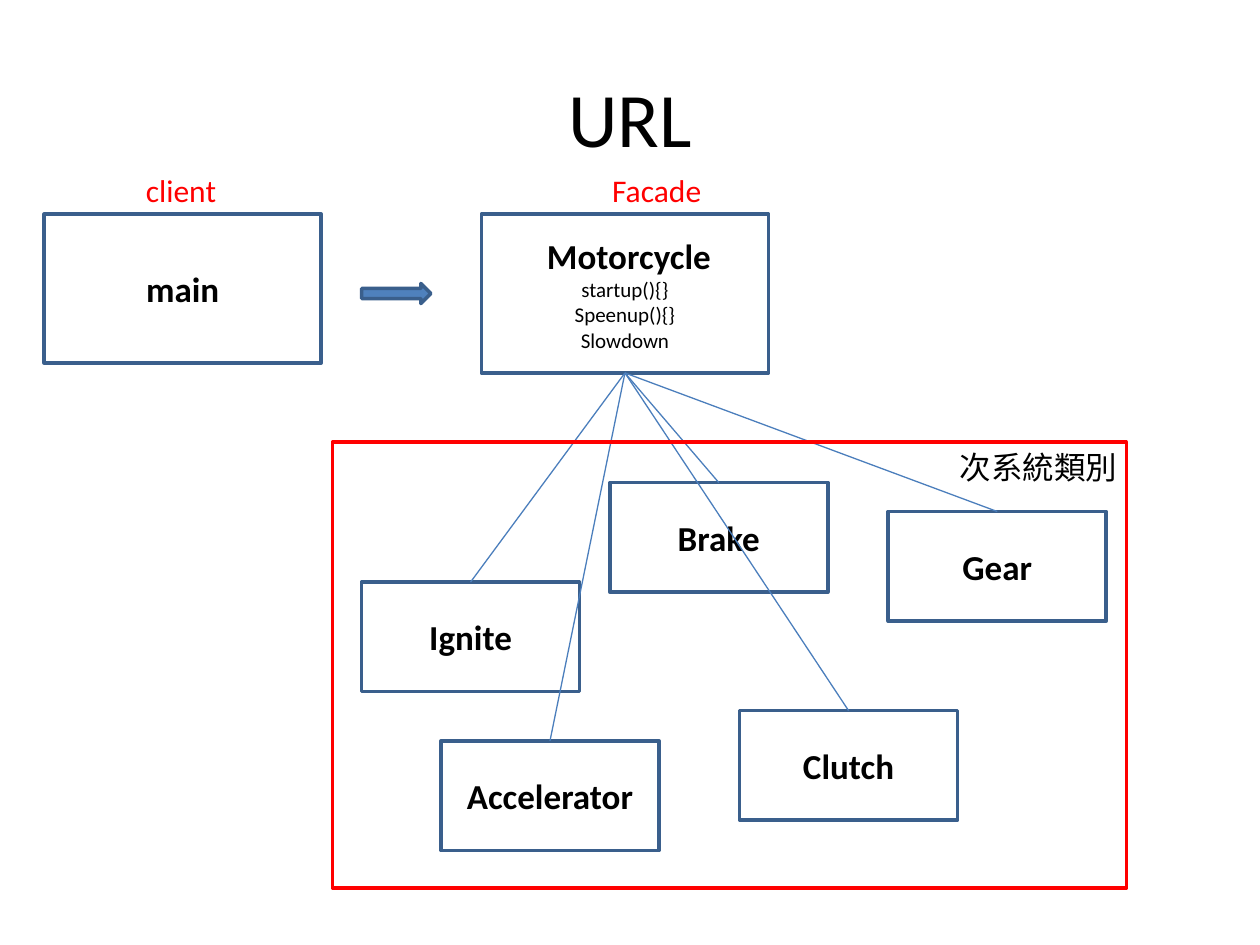
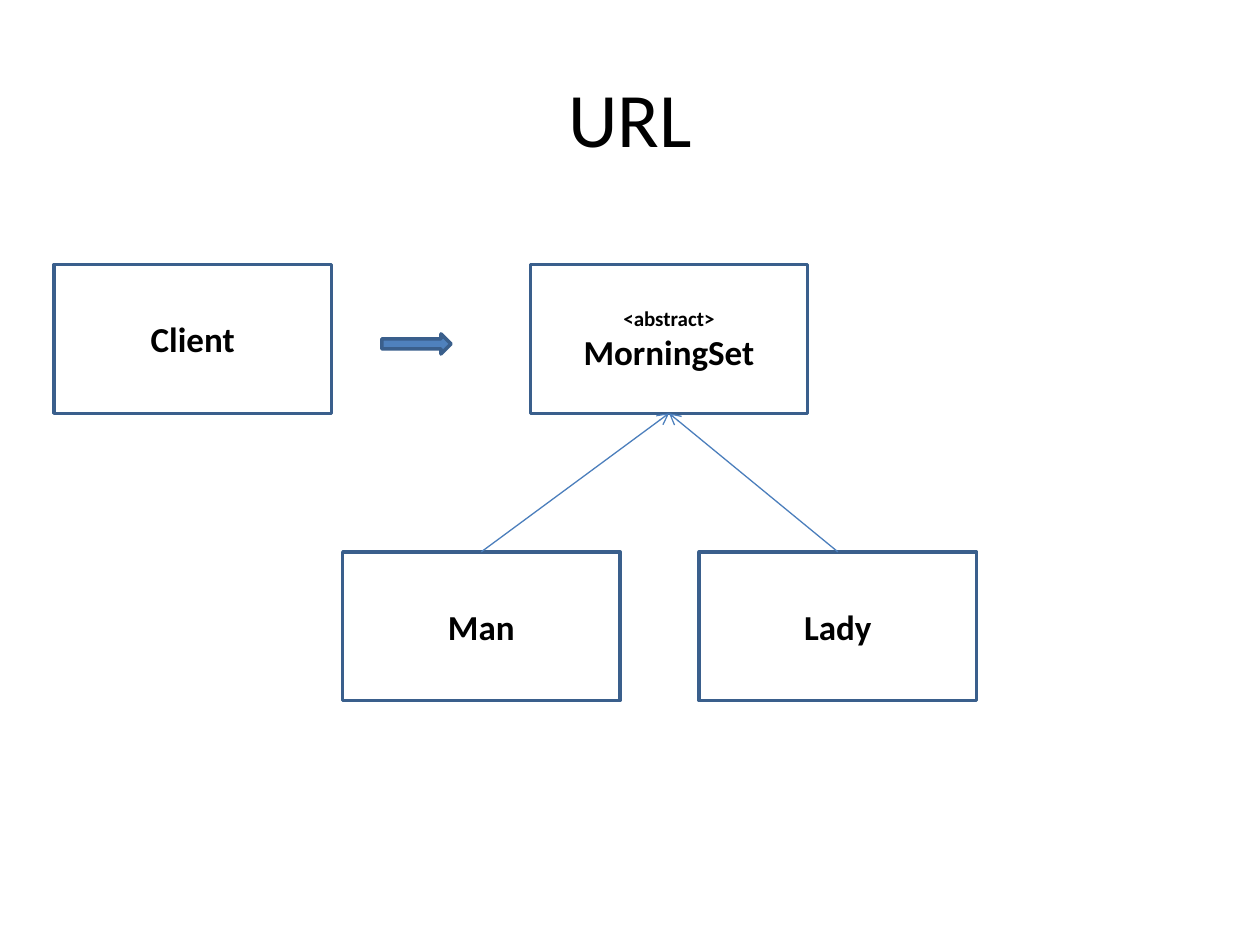
"""Two class diagrams: a facade and an abstract class."""
from lxml import etree
from pptx import Presentation, util as u
from pptx.dml.color import RGBColor
from pptx.enum import shapes, text
from pptx.oxml import ns

KIND = shapes.MSO_SHAPE
INK, RED = "000000", "FF0000"
EDGE, FILL, LINK = "3A5F8C", "4F81BD", "4B7EBC"
BIG, SMALL = (2.2, 1.18), (1.73, 0.87)


def paint(color, value):
    """Set a colour format from a hex string."""
    color.rgb = RGBColor.from_string(value)


class Board:
    """Holds the style and the current slide."""
    font = "Calibri"

    def __init__(self):
        """Open an empty deck of 10 by 7.5 inches."""
        self.deck = Presentation()
        self.deck.slide_width, self.deck.slide_height = u.Inches(10), u.Inches(7.5)

    def page(self, title):
        """Start a slide with its title."""
        self.slide = self.deck.slides.add_slide(self.deck.slide_layouts[6])
        box = self.slide.shapes.add_textbox(*map(u.Inches, (0.5, 0.3, 9, 1.25)))
        box.text_frame.word_wrap = True
        self.letter(box, [(title, 44, False)], center=True)

    def letter(self, shape, lines, color=INK, center=False):
        """Fill a shape with lines of (words, size, bold)."""
        frame = shape.text_frame
        frame.text = "\n".join(line[0] for line in lines)
        if center:
            frame.vertical_anchor = text.MSO_ANCHOR.MIDDLE
        for para, (_, size, bold) in zip(frame.paragraphs, lines):
            para.alignment = text.PP_ALIGN.CENTER if center else text.PP_ALIGN.LEFT
            for run in para.runs:
                run.font.name, run.font.size, run.font.bold = self.font, u.Pt(size), bold
                paint(run.font.color, color)

    def shape(self, kind, place, edge=EDGE, fill=None):
        """Draw an outlined preset shape, hollow unless filled."""
        item = self.slide.shapes.add_shape(kind, *map(u.Inches, place))
        item.shadow.inherit = False
        if fill:
            item.fill.solid()
            paint(item.fill.fore_color, fill)
        else:
            item.fill.background()
        paint(item.line.color, edge)
        item.line.width = u.Pt(2)
        return item

    def node(self, name, left, top, size=BIG, above=(), below=()):
        """Draw a class box with small lines around its name."""
        item = self.shape(KIND.FLOWCHART_PROCESS, (left, top, *size))
        self.letter(item, [*above, (name, 20, True), *below], center=True)
        return item

    def label(self, words, place, color=INK):
        """Place a one-line caption."""
        box = self.slide.shapes.add_textbox(*map(u.Inches, place))
        self.letter(box, [(words, 18, False)], color)
        box.text_frame.word_wrap = False
        box.text_frame.auto_size = text.MSO_AUTO_SIZE.SHAPE_TO_FIT_TEXT

    def arrow(self, left, top):
        """Draw the small block arrow."""
        self.shape(KIND.RIGHT_ARROW, (left, top, 0.55, 0.16), fill=FILL)

    def link(self, start, end, sides, head=False):
        """Join two boxes; sides are 0 for top, 2 for bottom."""
        line = self.slide.shapes.add_connector(shapes.MSO_CONNECTOR.STRAIGHT, 0, 0, 0, 0)
        line.begin_connect(start, sides[0])
        line.end_connect(end, sides[1])
        paint(line.line.color, LINK)
        line.line.width = u.Pt(0.75)
        props = line._element.spPr
        if head:
            tip = etree.SubElement(props.find(ns.qn("a:ln")), ns.qn("a:tailEnd"))
            tip.set("type", "arrow")
        etree.SubElement(props, ns.qn("a:effectLst"))


def facade(board):
    """Draw the facade with its subsystem classes."""
    board.page("URL")
    calls = [(word, 12, False) for word in ("startup(){}", "Speenup(){}", "Slowdown")]
    front = board.node(" Motorcycle", 3.82, 1.7, (2.28, 1.26), below=calls)
    board.node("main", 0.35, 1.7)
    board.label("client", (1.06, 1.31, 0.77, 0.4), RED)
    board.label("Facade", (4.76, 1.31, 0.92, 0.4), RED)
    board.arrow(2.87, 2.25)
    parts = [("Ignite", 2.87, 4.62), ("Clutch", 5.87, 5.64), ("Gear", 7.05, 4.06),
             ("Brake", 4.84, 3.83), ("Accelerator", 3.5, 5.88)]
    nodes = [board.node(*part, SMALL) for part in parts]
    for node in nodes:
        board.link(front, node, (2, 0))
    board.shape(KIND.RECTANGLE, (2.64, 3.51, 6.3, 3.54), RED)
    board.label("次系統類別", (7.52, 3.51, 1.46, 0.4))


def family(board):
    """Draw the abstract class with its two heirs."""
    board.page("URL")
    base = board.node("MorningSet", 4.21, 2.1, above=[("<abstract>", 12, True)])
    board.node("Client", 0.43, 2.1)
    for name, left in (("Man", 2.72), ("Lady", 5.55)):
        board.link(board.node(name, left, 4.38), base, (0, 2), head=True)
    board.arrow(3.03, 2.65)


board = Board()
facade(board)
family(board)
board.deck.save("out.pptx")
